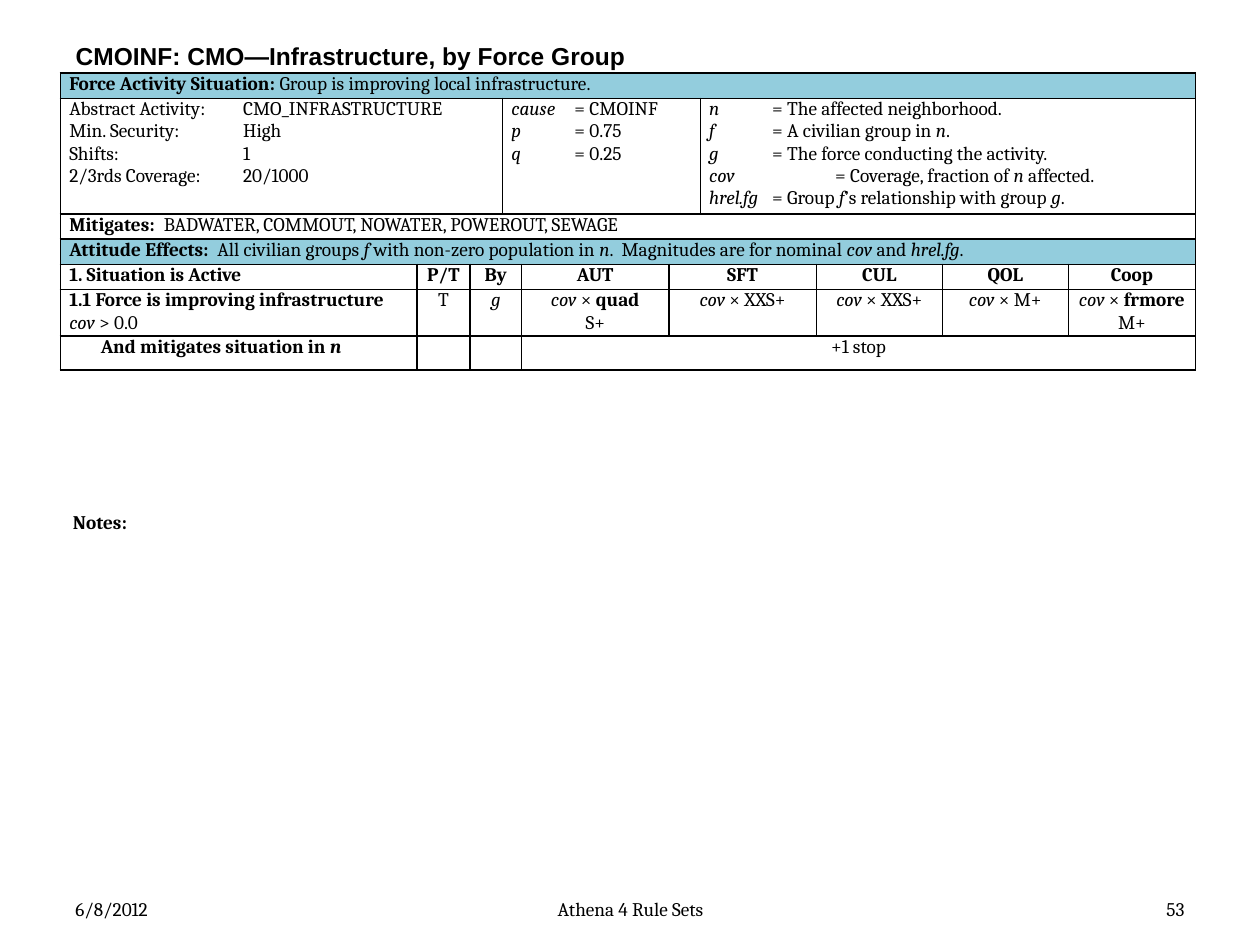
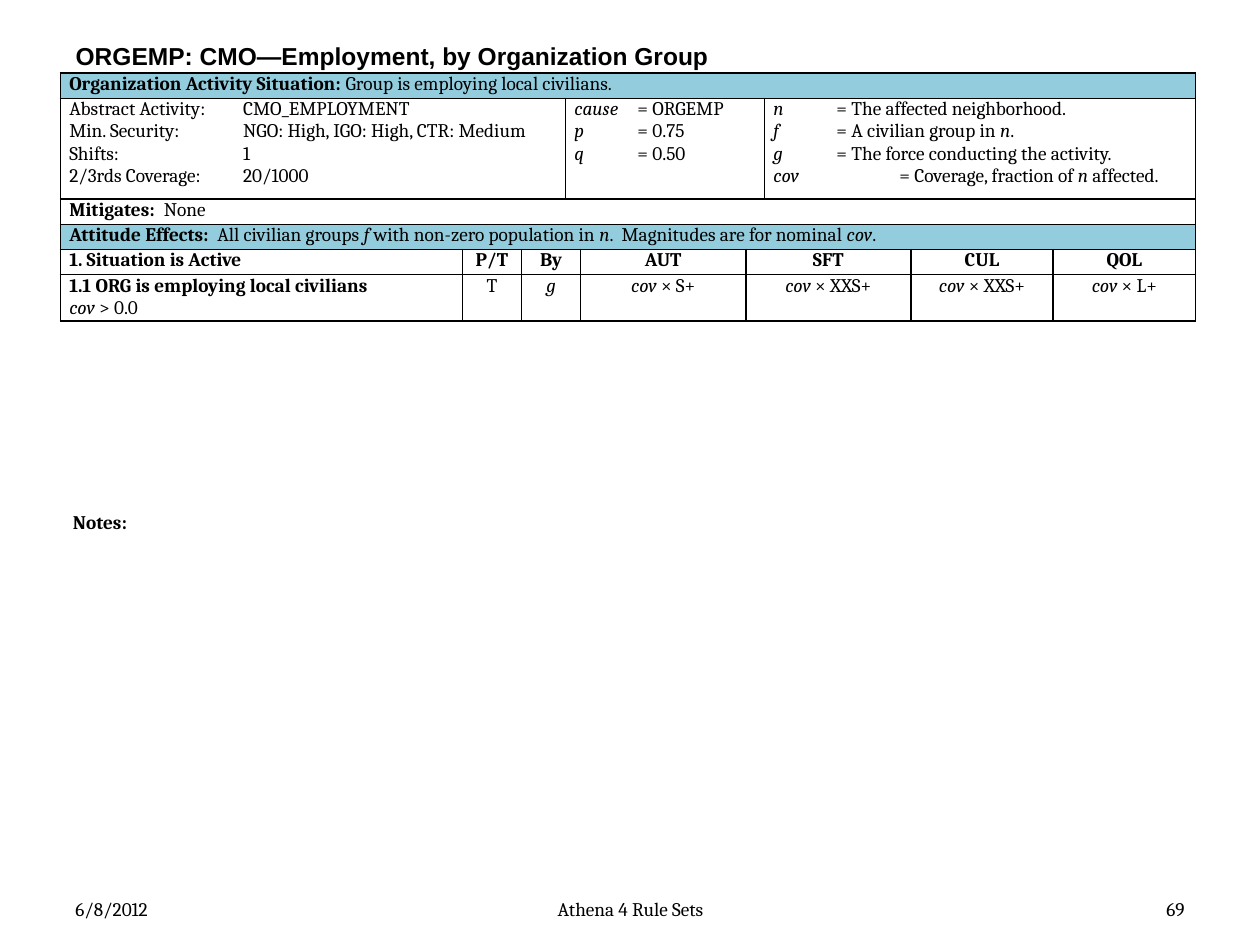
from dataclasses import dataclass

from lxml.etree import SubElement
from pptx import Presentation
from pptx.dml.color import RGBColor
from pptx.enum.text import MSO_ANCHOR, MSO_AUTO_SIZE, PP_ALIGN
from pptx.oxml import parse_xml
from pptx.oxml.ns import nsdecls, qn
from pptx.slide import Slide
from pptx.table import _Cell
from pptx.text.text import TextFrame
from pptx.util import Inches, Pt

# Shared look
COLOURS = {"text": "000000", "border": "000000", "band": "93CDDD", "plain": "FFFFFF"}
BODY_FONT, TITLE_FONT = "Cambria", "Arial"
BODY_SIZE, TITLE_SIZE = 11, 14
ACTIVITY_TAB, SYMBOL_TAB, COVERAGE_TAB, MITIGATES_INDENT, STEP_TAB = 1.38, 0.5, 1.0, 0.75, 0.25
BORDER_SIDES = ("lnL", "lnR", "lnT", "lnB")
FOOTER_TOP, FOOTER_HEIGHT = 7.08, 0.27


@dataclass(frozen=True)
class Line:
    """One paragraph; # switches bold and * switches italic."""
    text: str
    tab: float = 0
    hanging: float = 0


@dataclass(frozen=True)
class CellContent:
    lines: tuple[Line, ...] = ()
    span: int = 1
    fill: str = ""
    align: PP_ALIGN = PP_ALIGN.LEFT


@dataclass(frozen=True)
class FooterPart:
    text: str
    left: float
    width: float
    align: PP_ALIGN


@dataclass(frozen=True)
class RuleSet:
    title: str
    page: str
    kind: str
    summary: str
    activity: str
    security: str
    cause: str
    q_value: str
    symbols: tuple[Line, ...]
    mitigates: str
    nominal: str
    condition: str
    effects: dict[str, str]
    column_widths: tuple[float, ...]
    row_heights: tuple[float, ...]
    mitigation_step: bool = False


SYMBOLS = (
    Line("*n*\t= The affected neighborhood.", SYMBOL_TAB),
    Line("*f*\t= A civilian group in *n*.", SYMBOL_TAB),
    Line("*g*\t= The force conducting the activity.", SYMBOL_TAB),
    Line("*cov*\t= Coverage, fraction of *n* affected.", COVERAGE_TAB),
)

RULE_SETS = (
    RuleSet(
        title="CMOINF: CMO—Infrastructure, by Force Group", page="53",
        kind="Force", summary="Group is improving local infrastructure.",
        activity="CMO_INFRASTRUCTURE", security="High",
        cause="CMOINF", q_value="0.25",
        symbols=SYMBOLS + (
            Line("*hrel.fg*\t= Group *f*’s relationship with group *g*.", SYMBOL_TAB),),
        mitigates="BADWATER, COMMOUT, NOWATER, POWEROUT, SEWAGE",
        nominal="*cov *and *hrel.fg*",
        condition="Force is improving infrastructure",
        effects={"AUT": "*cov* × #quad#\nS+", "SFT": "*cov* × XXS+", "CUL": "*cov* × XXS+",
                 "QOL": "*cov* × M+", "Coop": "*cov* × #frmore#\nM+"},
        column_widths=(2.83, 0.42, 0.26, 0.15, 1.17, 0.25, 0.92, 1, 1, 1.01),
        row_heights=(0.2, 0.6, 0.2, 0.2, 0.2, 0.3, 0.27),
        mitigation_step=True),
    RuleSet(
        title="ORGEMP: CMO—Employment, by Organization Group", page="69",
        kind="Organization", summary="Group is employing local civilians.",
        activity="CMO_EMPLOYMENT", security="NGO: High, IGO: High, CTR: Medium",
        cause="ORGEMP", q_value="0.50",
        symbols=SYMBOLS, mitigates="None", nominal="*cov*",
        condition="ORG is employing local civilians",
        effects={"AUT": "*cov* × S+", "SFT": "*cov* × XXS+", "CUL": "*cov* × XXS+",
                 "QOL": "*cov* × L+"},
        column_widths=(3.19, 0.47, 0.35, 0.12, 1.31, 0.15, 1.16, 1.13, 1.13),
        row_heights=(0.2, 0.8, 0.2, 0.2, 0.2, 0.3)),
)


# Text
def write_line(frame: TextFrame, line: Line, *, first: bool = True, size: float = BODY_SIZE,
               font: str = BODY_FONT, align: PP_ALIGN = PP_ALIGN.LEFT) -> None:
    paragraph = frame.paragraphs[0] if first else frame.add_paragraph()
    paragraph.alignment = align
    properties = paragraph._p.get_or_add_pPr()
    if line.hanging:
        properties.set("marL", str(Inches(line.hanging)))
        properties.set("indent", str(-Inches(line.hanging)))
    if line.tab:
        tab_list = SubElement(properties, qn("a:tabLst"))
        SubElement(tab_list, qn("a:tab"), pos=str(Inches(line.tab)), algn="l")
    for bold_index, bold_part in enumerate(line.text.split("#")):
        for italic_index, part in enumerate(bold_part.split("*")):
            if not part:
                continue
            run = paragraph.add_run()
            run.text = part
            run.font.name, run.font.size = font, Pt(size)
            run.font.bold = bold_index % 2 == 1
            run.font.italic = italic_index % 2 == 1
            run.font.color.rgb = RGBColor.from_string(COLOURS["text"])
    # Keeps empty cells at the body text height
    SubElement(paragraph._p, qn("a:endParaRPr"), sz=str(size * 100))


def add_label(slide: Slide, text: str, left: float, top: float, width: float, height: float, *,
              align: PP_ALIGN = PP_ALIGN.LEFT, anchor: MSO_ANCHOR = MSO_ANCHOR.TOP) -> None:
    box = slide.shapes.add_textbox(Inches(left), Inches(top), Inches(width), Inches(height))
    box.text_frame.word_wrap = True
    box.text_frame.vertical_anchor = anchor
    write_line(box.text_frame, Line(text), align=align)


def set_title(slide: Slide, text: str) -> None:
    title = slide.shapes.title
    title.left, title.top = Inches(0.5), Inches(0.3)
    title.width, title.height = Inches(9), Inches(0.28)
    title.text_frame.auto_size = MSO_AUTO_SIZE.NONE
    title.text_frame.vertical_anchor = MSO_ANCHOR.MIDDLE
    write_line(title.text_frame, Line(f"#{text}#"), size=TITLE_SIZE, font=TITLE_FONT)


def add_footer(slide: Slide, page: str) -> None:
    parts = (
        FooterPart("6/8/2012", 0.5, 2.33, PP_ALIGN.LEFT),
        FooterPart("Athena 4 Rule Sets", 3.42, 3.17, PP_ALIGN.CENTER),
        FooterPart(page, 7.17, 2.33, PP_ALIGN.RIGHT),
    )
    for part in parts:
        add_label(slide, part.text, part.left, FOOTER_TOP, part.width, FOOTER_HEIGHT,
                  align=part.align, anchor=MSO_ANCHOR.MIDDLE)


# Table contents
def centred(text: str, span: int = 1, fill: str = "") -> CellContent:
    lines = tuple(Line(part) for part in text.split("\n"))
    return CellContent(lines, span, fill, PP_ALIGN.CENTER)


def effect_span(name: str) -> int:
    return 2 if name == "SFT" else 1


def table_rows(rules: RuleSet) -> list[list[CellContent]]:
    columns = len(rules.column_widths)
    activity = tuple(Line(text, ACTIVITY_TAB) for text in (
        f"Abstract Activity:\t{rules.activity}", f"Min. Security:\t{rules.security}",
        "Shifts:\t1", "2/3rds Coverage:\t20/1000"))
    cause = tuple(Line(text, SYMBOL_TAB) for text in (
        f"*cause*\t= {rules.cause}", "*p*\t= 0.75", f"*q*\t= {rules.q_value}"))
    situation = Line(f"#{rules.kind} Activity Situation:# {rules.summary}")
    mitigates = Line(f"#Mitigates:#\t{rules.mitigates}", hanging=MITIGATES_INDENT)
    attitude = Line("#Attitude Effects:  #All civilian groups *f *with non-zero population in *n*."
                    f"  Magnitudes are for nominal {rules.nominal}.")
    rows = [
        [CellContent((situation,), columns, "band")],
        [CellContent(activity, 3), CellContent(cause, 3),
         CellContent(rules.symbols, columns - 6)],
        [CellContent((mitigates,), columns, "plain")],
        [CellContent((attitude,), columns, "band")],
        [CellContent((Line("#1. Situation is Active#"),), fill="plain"),
         centred("#P/T#", fill="plain"), centred("#By#", 2, "plain"),
         *(centred(f"#{name}#", effect_span(name), "plain") for name in rules.effects)],
        [CellContent((Line(f"#1.1 {rules.condition}#"), Line("*cov* > 0.0"))),
         centred("T"), centred("*g*", 2),
         *(centred(text, effect_span(name)) for name, text in rules.effects.items())],
    ]
    if rules.mitigation_step:
        step = Line("#\tAnd mitigates situation in *n*#", STEP_TAB)
        rows.append([CellContent((step,)), CellContent(), CellContent(span=2),
                     centred("+1 stop", columns - 4)])
    return rows


# Table drawing
def format_cell(cell: _Cell, fill: str) -> None:
    cell.margin_left = cell.margin_right = Inches(0.07)
    cell.margin_top = cell.margin_bottom = 0
    if fill:
        cell.fill.solid()
        cell.fill.fore_color.rgb = RGBColor.from_string(COLOURS[fill])
    else:
        cell.fill.background()
    properties = cell._tc.get_or_add_tcPr()
    for position, side in enumerate(BORDER_SIDES):
        properties.insert(position, parse_xml(
            f'<a:{side} {nsdecls("a")} w="{Pt(1)}"><a:solidFill>'
            f'<a:srgbClr val="{COLOURS["border"]}"/></a:solidFill></a:{side}>'))


def add_rule_table(slide: Slide, rules: RuleSet) -> None:
    widths, heights = rules.column_widths, rules.row_heights
    table = slide.shapes.add_table(
        len(heights), len(widths), Inches(0.48), Inches(0.58),
        Inches(sum(widths)), Inches(sum(heights))).table
    table.first_row = table.horz_banding = False
    for column, width in zip(table.columns, widths):
        column.width = Inches(width)
    for row, height in zip(table.rows, heights):
        row.height = Inches(height)
    for row_index, contents in enumerate(table_rows(rules)):
        start = 0
        for content in contents:
            end = start + content.span
            for column_index in range(start, end):
                cell = table.cell(row_index, column_index)
                format_cell(cell, content.fill)
                lines = content.lines if column_index == start else ()
                for line_index, line in enumerate(lines or (Line(""),)):
                    write_line(cell.text_frame, line, first=line_index == 0,
                               align=content.align)
            if content.span > 1:
                table.cell(row_index, start).merge(table.cell(row_index, end - 1))
            start = end


def main() -> None:
    presentation = Presentation()
    presentation.slide_width, presentation.slide_height = Inches(10), Inches(7.5)
    title_only = presentation.slide_layouts[5]
    for rules in RULE_SETS:
        slide = presentation.slides.add_slide(title_only)
        set_title(slide, rules.title)
        add_footer(slide, rules.page)
        add_rule_table(slide, rules)
        add_label(slide, "#Notes:#", 0.48, 4, 9.08, 0.29)
    presentation.save("out.pptx")


if __name__ == "__main__":
    main()
